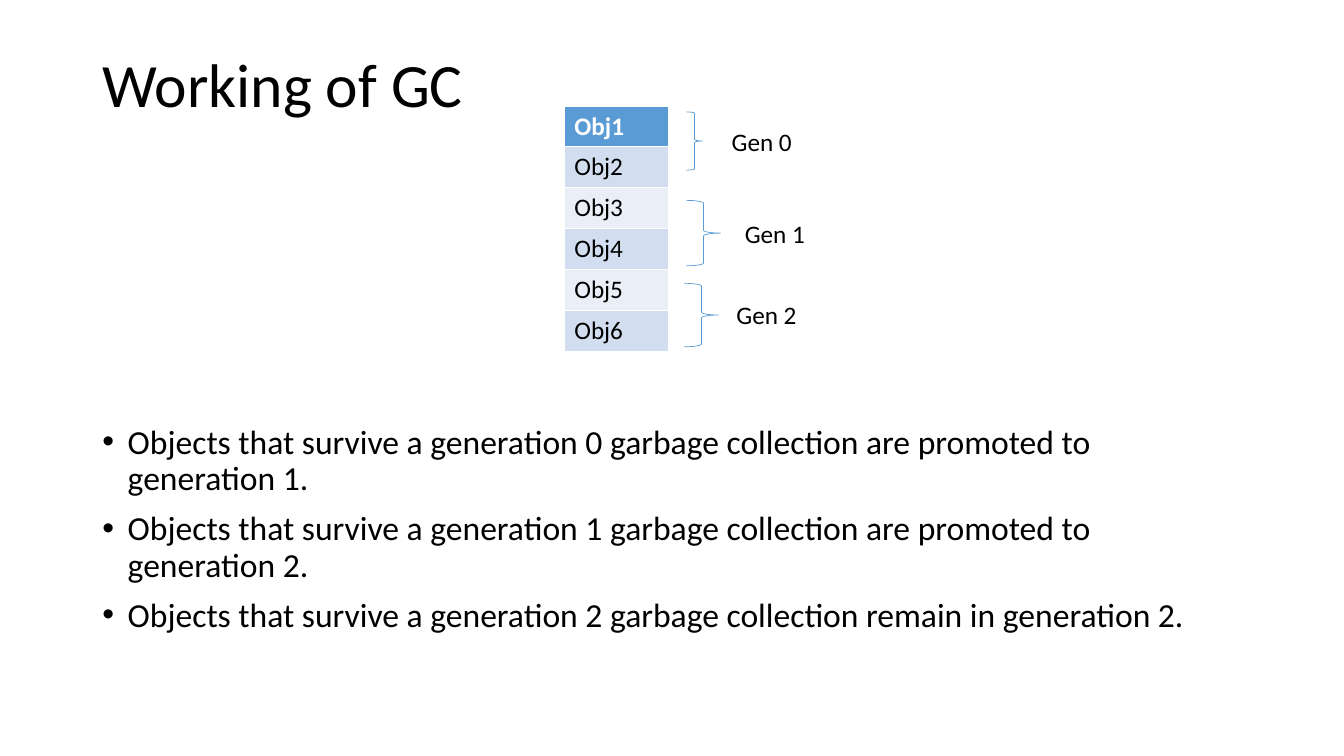
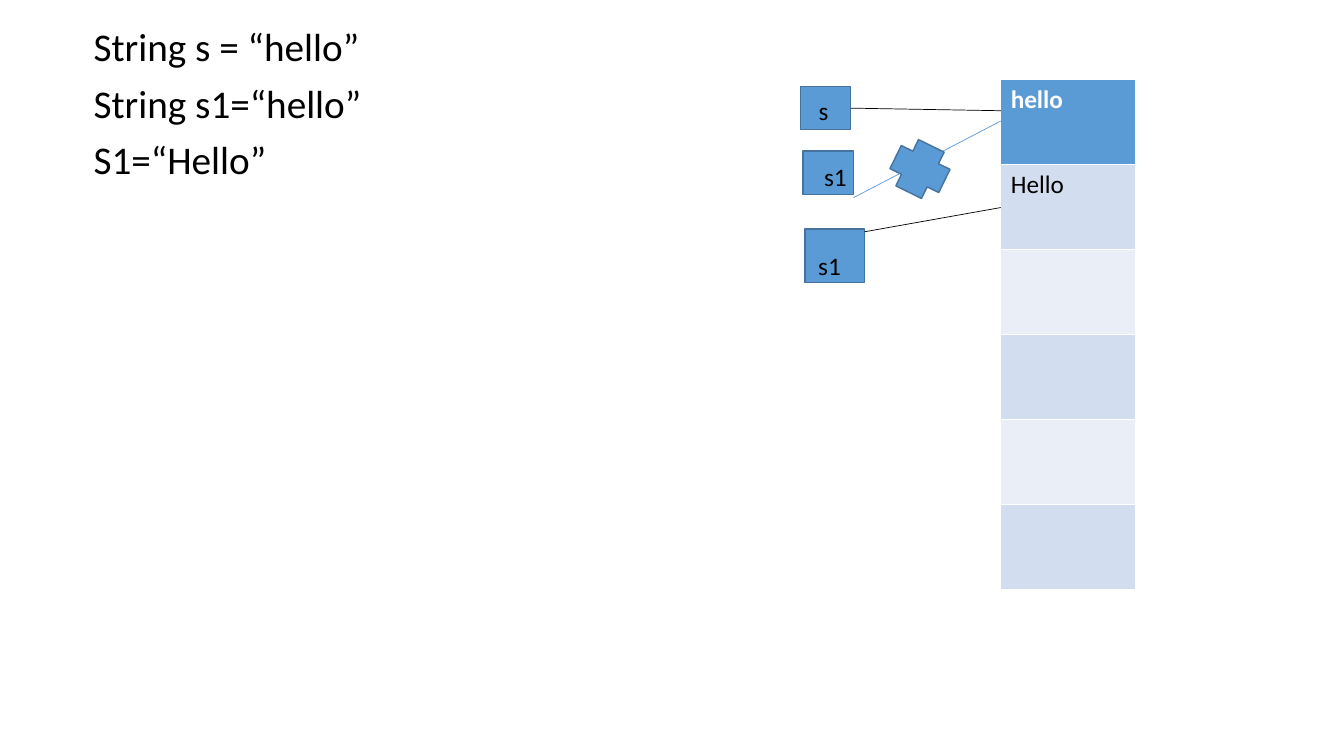
from dataclasses import dataclass

from lxml.etree import SubElement
from pptx import Presentation
from pptx.dml.color import RGBColor
from pptx.enum.shapes import MSO_CONNECTOR, MSO_SHAPE
from pptx.enum.text import MSO_ANCHOR, MSO_AUTO_SIZE, PP_ALIGN
from pptx.oxml.ns import qn
from pptx.util import Cm, Pt


@dataclass(frozen=True)
class Theme:
    font: str = "Calibri"
    black: str = "000000"
    white: str = "FFFFFF"
    blue: str = "5B9BD5"
    edge: str = "43739E"
    bands: tuple = ("EAEFF7", "D2DEEF")
    title: int = 44
    code: int = 28
    body: int = 24
    label: int = 18
    thin: float = 0.5


THEME = Theme()

# Content, lengths in cm
TITLE = "Working of GC"
POINTS = [
    "Objects that survive a generation 0 garbage collection are promoted to generation 1.",
    "Objects that survive a generation 1 garbage collection are promoted to generation 2.",
    "Objects that survive a generation 2 garbage collection remain in generation 2.",
]
HEAP = ["Obj1", "Obj2", "Obj3", "Obj4", "Obj5", "Obj6"]
# label, brace box, label left and top
GENS = [
    ("Gen 0", (17.3, 2.82, 0.41, 1.47), (18.19, 3.05)),
    ("Gen 1", (17.3, 5.05, 0.86, 1.65), (18.52, 5.38)),
    ("Gen 2", (17.25, 7.14, 0.86, 1.6), (18.31, 7.42)),
]
CODE = ["String s = “hello”", "String s1=“hello”", "S1=“Hello”"]
POOL = ["hello", "Hello", "", "", "", ""]
# name, box, text inset left and top
VARS = [
    ("s", (20.17, 2.18, 1.27, 1.09), (0.46, 0.23)),
    ("s1", (20.24, 3.81, 1.27, 1.09), (0.53, 0.25)),
    ("s1", (20.29, 5.77, 1.5, 1.35), (0.33, 0.55)),
]
# colour, from, to
LINKS = [
    (THEME.black, (21.44, 2.73), (25.22, 2.79)),
    (THEME.blue, (21.51, 4.98), (25.22, 3.05)),
    (THEME.black, (21.79, 5.84), (25.22, 5.23)),
]
CROSS = (22.5, 3.61, 1.37, 1.3)


def rgb(code):
    return RGBColor.from_string(code)


def cms(*sizes):
    return [Cm(size) for size in sizes]


def style(para, size, color=THEME.black, bold=False):
    font = para.font
    font.name, font.size, font.bold = THEME.font, Pt(size), bold
    font.color.rgb = rgb(color)
    para.alignment = PP_ALIGN.LEFT


def add_text(slide, box, lines, size):
    frame = slide.shapes.add_textbox(*cms(*box)).text_frame
    frame.word_wrap = True
    frame.text = "\n".join(lines)
    for para in frame.paragraphs:
        style(para, size)
    return frame.paragraphs


def space(paras):
    for para in paras:
        para.line_spacing = 0.9
        para.space_before = Pt(10)


def add_bullet(para):
    props = para._p.get_or_add_pPr()
    props.set("marL", str(Cm(0.64)))
    props.set("indent", str(-Cm(0.64)))
    SubElement(props, qn("a:buFont"), typeface="Arial")
    SubElement(props, qn("a:buChar"), char="•")


def add_shape(slide, kind, box, fill=None, edge=THEME.edge, width=1):
    shape = slide.shapes.add_shape(kind, *cms(*box))
    shape.shadow.inherit = False
    if fill:
        shape.fill.solid()
        shape.fill.fore_color.rgb = rgb(fill)
    else:
        shape.fill.background()
    shape.line.color.rgb = rgb(edge)
    shape.line.width = Pt(width)
    return shape


def add_stack(slide, box, items):
    """One-column table: blue head, then banded rows."""
    table = slide.shapes.add_table(len(items), 1, *cms(*box)).table
    for row, text in enumerate(items):
        cell = table.cell(row, 0)
        head = row == 0
        cell.text = text
        cell.fill.solid()
        cell.fill.fore_color.rgb = rgb(THEME.blue if head else THEME.bands[row % 2])
        style(cell.text_frame.paragraphs[0], THEME.label,
              THEME.white if head else THEME.black, head)


def add_link(slide, color, start, end):
    line = slide.shapes.add_connector(MSO_CONNECTOR.STRAIGHT, *cms(*start, *end))
    line.line.color.rgb = rgb(color)
    line.line.width = Pt(THEME.thin)
    SubElement(line._element.spPr, qn("a:effectLst"))
    return line


def build_gc(deck):
    slide = deck.slides.add_slide(deck.slide_layouts[5])

    # Title
    title = slide.shapes.title
    title.left, title.top, title.width, title.height = cms(2.33, 1.02, 29.21, 2.36)
    frame = title.text_frame
    frame.text = TITLE
    frame.auto_size = MSO_AUTO_SIZE.NONE
    frame.vertical_anchor = MSO_ANCHOR.MIDDLE
    style(frame.paragraphs[0], THEME.title)
    frame.paragraphs[0].line_spacing = 0.9

    # Bullets
    paras = add_text(slide, (2.33, 10.59, 29.21, 6.5), POINTS, THEME.body)
    space(paras)
    for para in paras:
        add_bullet(para)

    # Heap and its generations
    add_stack(slide, (14.22, 2.67, 2.62, 6.18), HEAP)
    for name, brace, (left, top) in GENS:
        add_shape(slide, MSO_SHAPE.RIGHT_BRACE, brace, edge=THEME.blue, width=THEME.thin)
        add_text(slide, (left, top, 3, 1.03), [name], THEME.label)


def build_pool(deck):
    slide = deck.slides.add_slide(deck.slide_layouts[6])

    # Code lines and string pool
    space(add_text(slide, (2.11, 0.58, 17, 5), CODE, THEME.code))
    add_stack(slide, (25.22, 2.01, 3.4, 12.84), POOL)

    # Variables
    boxes = []
    for name, box, (left, top) in VARS:
        shape = add_shape(slide, MSO_SHAPE.RECTANGLE, box, THEME.blue)
        frame = shape.text_frame
        frame.text = name
        frame.vertical_anchor = MSO_ANCHOR.TOP
        frame.margin_left, frame.margin_top = cms(left, top)
        frame.margin_right = frame.margin_bottom = 0
        style(frame.paragraphs[0], THEME.label)
        boxes.append(shape)

    # References, the second one crossed out
    links = [add_link(slide, *link) for link in LINKS]
    links[0].begin_connect(boxes[0], 3)
    add_shape(slide, MSO_SHAPE.CROSS, CROSS, THEME.blue).rotation = 26.1


def main():
    deck = Presentation()
    deck.slide_width, deck.slide_height = cms(33.87, 19.05)
    build_gc(deck)
    build_pool(deck)
    deck.save("out.pptx")


if __name__ == "__main__":
    main()
